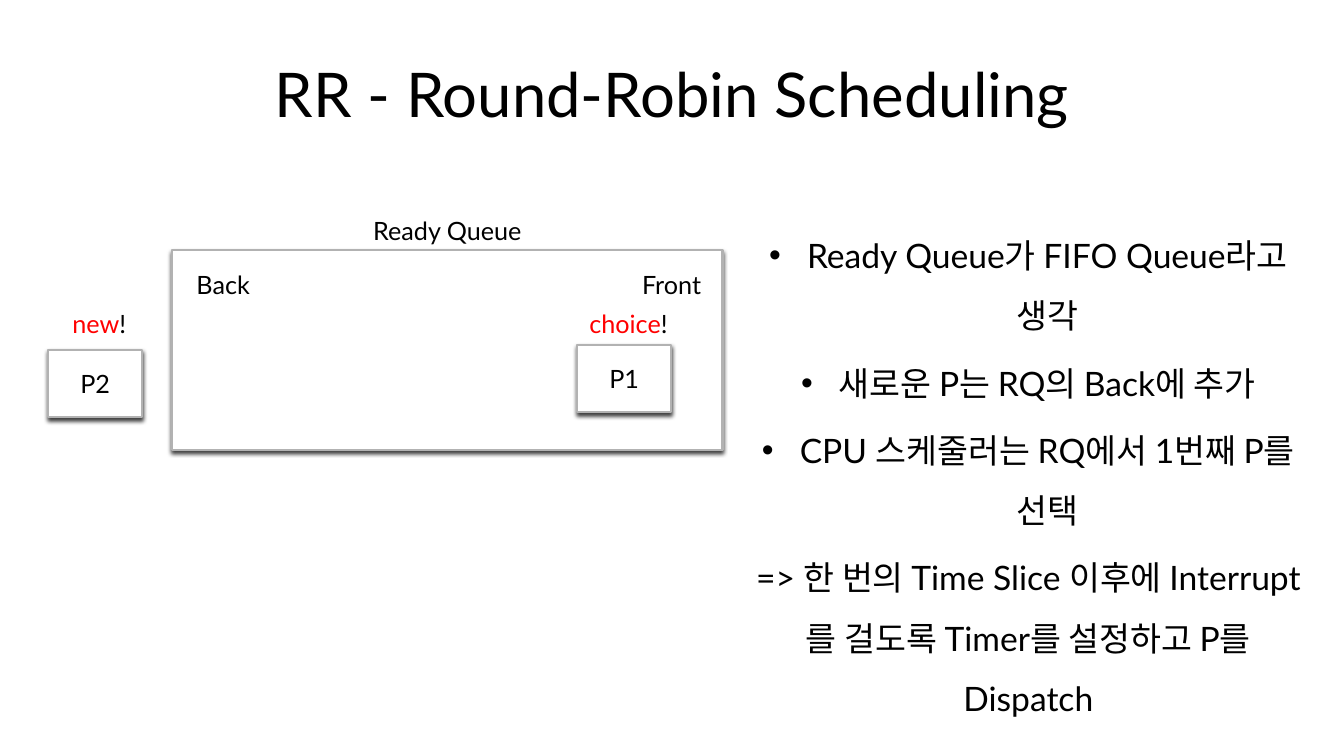
import dataclasses

import lxml.etree
import pptx
import pptx.dml.color
import pptx.enum.shapes
import pptx.enum.text
import pptx.oxml
import pptx.oxml.ns
import pptx.util

Cm = pptx.util.Cm
Pt = pptx.util.Pt
FONT = "Lato"
BLACK, WHITE, GREY, RED = "000000", "FFFFFF", "B2B2B2", "FF0000"
LABEL_HEIGHT = 1.02
PROCESS_WIDTH, PROCESS_HEIGHT = 2.36, 1.7


@dataclasses.dataclass(frozen=True)
class Box:
    left: float
    top: float
    width: float
    height: float
    text: str = ""


@dataclasses.dataclass(frozen=True)
class Label:
    left: float
    top: float
    width: float
    text: str
    red_word: str = ""


def rgb(color: str) -> pptx.dml.color.RGBColor:
    return pptx.dml.color.RGBColor.from_string(color)


def style(paragraph, size: float) -> None:
    paragraph.alignment = pptx.enum.text.PP_ALIGN.CENTER
    paragraph.font.name = FONT
    paragraph.font.size = Pt(size)
    paragraph.font.color.rgb = rgb(BLACK)


def place(shape, left: float, top: float, width: float, height: float) -> None:
    shape.left, shape.top = Cm(left), Cm(top)
    shape.width, shape.height = Cm(width), Cm(height)


def drop_shadow(shape) -> None:
    shape.shadow.inherit = False
    effects = shape._element.spPr.find(pptx.oxml.ns.qn("a:effectLst"))
    effects.append(pptx.oxml.parse_xml(
        f'<a:outerShdw {pptx.oxml.ns.nsdecls("a")} blurRad="{Pt(3)}" dist="{Pt(2)}" '
        'dir="5400000" algn="t" rotWithShape="0">'
        f'<a:srgbClr val="{BLACK}"><a:alpha val="75000"/></a:srgbClr></a:outerShdw>'))


def remove_bullet(paragraph) -> None:
    properties = paragraph._p.get_or_add_pPr()
    properties.set("marL", "0")
    properties.set("indent", "0")
    lxml.etree.SubElement(properties, pptx.oxml.ns.qn("a:buNone"))


def add_box(slide, box: Box) -> None:
    shape = slide.shapes.add_shape(
        pptx.enum.shapes.MSO_SHAPE.RECTANGLE,
        Cm(box.left), Cm(box.top), Cm(box.width), Cm(box.height))
    shape.fill.solid()
    shape.fill.fore_color.rgb = rgb(WHITE)
    shape.line.color.rgb = rgb(GREY)
    shape.line.width = Pt(1.5)
    drop_shadow(shape)
    if box.text:
        frame = shape.text_frame
        frame.text = box.text
        frame.vertical_anchor = pptx.enum.text.MSO_ANCHOR.MIDDLE
        style(frame.paragraphs[0], 18)


def add_label(slide, label: Label) -> None:
    frame = slide.shapes.add_textbox(
        Cm(label.left), Cm(label.top), Cm(label.width), Cm(LABEL_HEIGHT)).text_frame
    frame.word_wrap = True
    frame.auto_size = pptx.enum.text.MSO_AUTO_SIZE.SHAPE_TO_FIT_TEXT
    paragraph = frame.paragraphs[0]
    style(paragraph, 18)
    if label.red_word:
        red_run = paragraph.add_run()
        red_run.text = label.red_word
        red_run.font.color.rgb = rgb(RED)
    paragraph.add_run().text = label.text


QUEUE = Box(4.34, 6.3, 13.87, 5.03)
PROCESSES = [
    Box(1.22, 8.81, PROCESS_WIDTH, PROCESS_HEIGHT, "P2"),
    Box(14.55, 8.69, PROCESS_WIDTH, PROCESS_HEIGHT, "P1"),
]
LABELS = [
    Label(8.71, 5.31, 5.13, "Ready Queue"),
    Label(QUEUE.left, 6.65, 2.57, "Back"),
    Label(QUEUE.left + QUEUE.width - 2.57, 6.65, 2.57, "Front"),
    Label(1.22, 7.65, 2.57, "!", "new"),
    Label(14.38, 7.65, 2.92, "!", "choice"),
]
RULES = [
    "Ready Queue가 FIFO Queue라고 생각",
    "새로운 P는 RQ의 Back에 추가",
    "CPU 스케줄러는 RQ에서 1번째 P를 선택",
]
CONSEQUENCE = ("=> 한 번의 Time Slice 이후에 Interrupt를 걸도록 "
               "Timer를 설정하고 P를 Dispatch")


def main() -> None:
    presentation = pptx.Presentation()
    presentation.slide_width, presentation.slide_height = Cm(33.87), Cm(19.05)
    slide = presentation.slides.add_slide(presentation.slide_layouts[1])

    # Title
    title = slide.shapes.title
    place(title, 1.7, 0.76, 30.48, 3.18)
    title.text_frame.text = "RR - Round-Robin Scheduling"
    style(title.text_frame.paragraphs[0], 44)

    # Scheduling rules
    rules = slide.placeholders[1]
    place(rules, 18.75, 5.28, 14.33, 13.51)
    frame = rules.text_frame
    frame.text = "\n".join([*RULES, CONSEQUENCE])
    frame.auto_size = pptx.enum.text.MSO_AUTO_SIZE.NONE
    for paragraph in frame.paragraphs:
        style(paragraph, 24)
        paragraph.line_spacing = 1.5
    remove_bullet(frame.paragraphs[-1])

    # Ready queue with its processes and labels
    for box in [QUEUE, *PROCESSES]:
        add_box(slide, box)
    for label in LABELS:
        add_label(slide, label)

    presentation.save("out.pptx")


if __name__ == "__main__":
    main()
